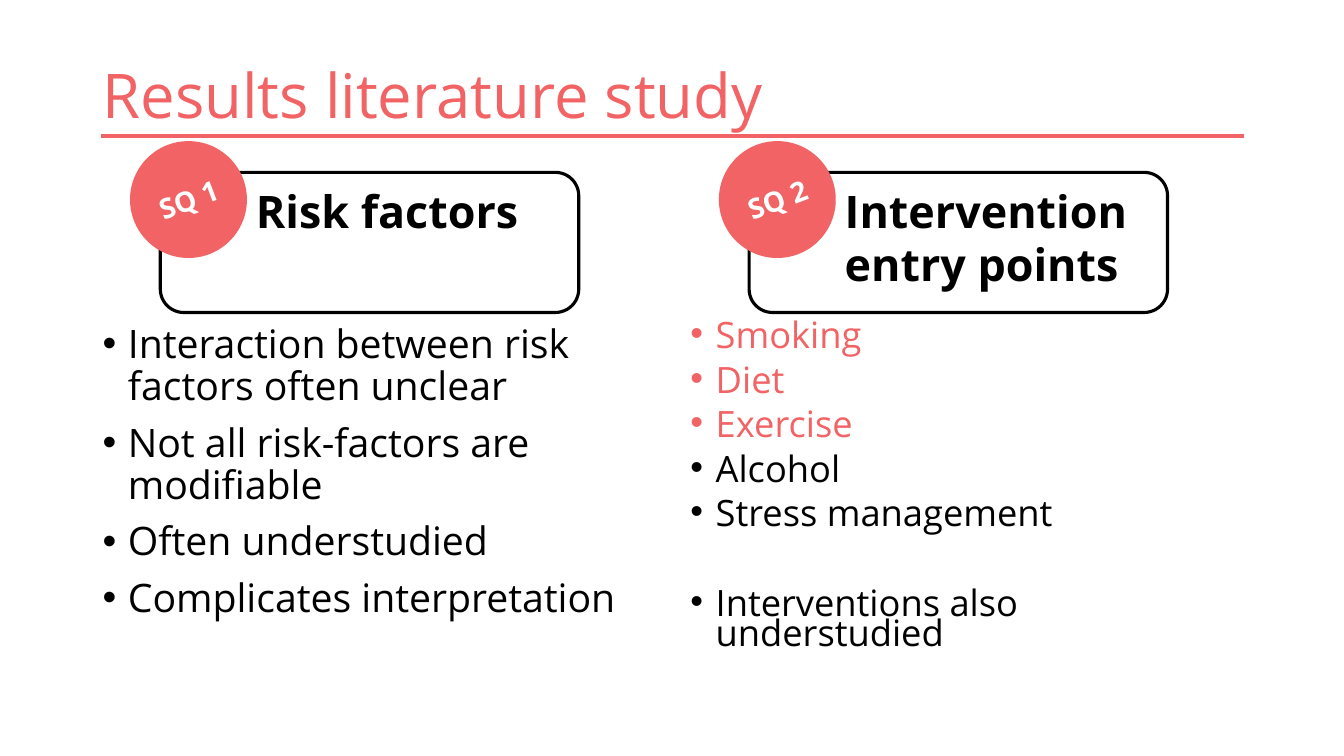
import pptx
import pptx.util
import pptx.dml.color
import pptx.enum.shapes
import pptx.enum.text
from dataclasses import dataclass
from lxml import etree

SHAPE = pptx.enum.shapes.MSO_SHAPE
ANCHOR = pptx.enum.text.MSO_ANCHOR
ALIGN = pptx.enum.text.PP_ALIGN
PX = 9144  # EMU per px, 100 px to the inch


@dataclass(frozen=True)
class Theme:
    font: str = "Open Sans"
    accent: str = "F16364"
    black: str = "000000"
    white: str = "FFFFFF"
    title: float = 44
    heading: float = 32
    body: float = 28
    body_small: float = 25.9
    badge: float = 20


def rgb(value):
    return pptx.dml.color.RGBColor.from_string(value)


def set_all(target, values):
    for name, value in values.items():
        setattr(target, name, value)


class Deck:
    def __init__(self, theme):
        self.theme = theme
        self.prs = pptx.Presentation()
        set_all(self.prs, {"slide_width": 1333 * PX, "slide_height": 750 * PX})
        self.s = self.prs.slides.add_slide(self.prs.slide_layouts[6])

    def paragraph(self, p, text, size, color, bold=False, **spacing):
        set_all(p, spacing)
        r = p.add_run()
        r.text = text
        set_all(r.font, {"name": self.theme.font, "size": pptx.util.Pt(size), "bold": bold})
        r.font.color.rgb = rgb(color)

    def textbox(self, parent, box, anchor=ANCHOR.TOP):
        tf = parent.shapes.add_textbox(*(v * PX for v in box)).text_frame
        set_all(tf, {"word_wrap": True, "vertical_anchor": anchor})
        return tf

    def shape(self, parent, kind, box, fill=None, line=None, width=2.25):
        sp = parent.shapes.add_shape(kind, *(v * PX for v in box))
        sp.shadow.inherit = False
        if fill:
            sp.fill.solid()
            sp.fill.fore_color.rgb = rgb(fill)
        else:
            sp.fill.background()
        if line:
            sp.line.color.rgb = rgb(line)
            sp.line.width = pptx.util.Pt(width)
        else:
            sp.line.fill.background()
        return sp

    def rule(self, x1, x2, y):
        kind = pptx.enum.shapes.MSO_CONNECTOR.STRAIGHT
        cx = self.s.shapes.add_connector(kind, x1 * PX, y * PX, x2 * PX, y * PX)
        cx.line.color.rgb = rgb(self.theme.accent)
        cx.line.width = pptx.util.Pt(3)
        etree.SubElement(cx._element.spPr, pptx.oxml.ns.qn("a:effectLst"))

    def title(self, box, text):
        tf = self.textbox(self.s, box, ANCHOR.MIDDLE)
        self.paragraph(tf.paragraphs[0], text, self.theme.title, self.theme.accent,
                       line_spacing=0.9)

    def card(self, x, label, heading, heading_height):
        t = self.theme
        group = self.s.shapes.add_group_shape()
        self.shape(group, SHAPE.ROUNDED_RECTANGLE, (x + 30, 171, 415, 139), line=t.black)
        badge = self.shape(group, SHAPE.OVAL, (x, 140, 116, 116), fill=t.accent)
        badge.rotation = -20.8
        tf = badge.text_frame
        set_all(tf, {"word_wrap": False, "vertical_anchor": ANCHOR.MIDDLE})
        self.paragraph(tf.paragraphs[0], label, t.badge, t.white, True,
                       alignment=ALIGN.CENTER)
        tf = self.textbox(group, (x + 115, 177, 307, heading_height))
        self.paragraph(tf.paragraphs[0], heading, t.heading, t.black, True)

    def bullets(self, box, items, size, line_spacing):
        tf = self.textbox(self.s, box)
        for i, (text, color, before) in enumerate(items):
            p = tf.add_paragraph() if i else tf.paragraphs[0]
            self.paragraph(p, text, size, color, line_spacing=line_spacing,
                           space_before=pptx.util.Pt(before))
            pPr = p._p.get_or_add_pPr()
            pPr.set("marL", str(25 * PX))
            pPr.set("indent", str(-25 * PX))
            font = etree.SubElement(pPr, pptx.oxml.ns.qn("a:buFont"))
            font.set("typeface", "Arial")
            etree.SubElement(pPr, pptx.oxml.ns.qn("a:buChar")).set("char", "•")


def main():
    t = Theme()
    deck = Deck(t)

    # Title and rule
    deck.rule(100, 1234, 135)
    deck.title((92, 40, 1150, 116), "Results literature study")

    # Bullet columns: text, colour, space before
    risks = ["Interaction between risk factors often unclear",
             "Not all risk-factors are modifiable",
             "Often understudied",
             "Complicates interpretation"]
    deck.bullets((92, 317, 567, 359), [(text, t.black, 10) for text in risks], t.body, 0.9)

    entry_points = [(text, t.accent, 10) for text in ("Smoking", "Diet", "Exercise")]
    entry_points += [(text, t.black, 10) for text in ("Alcohol", "Stress management")]
    entry_points.append(("Interventions also understudied", t.black, 42))
    deck.bullets((675, 317, 567, 359), entry_points, t.body_small, 0.7)

    # Heading cards
    deck.card(129, "SQ 1", "Risk factors", 64)
    deck.card(713, "SQ 2", "Intervention entry points", 118)

    deck.prs.save("out.pptx")


if __name__ == "__main__":
    main()
